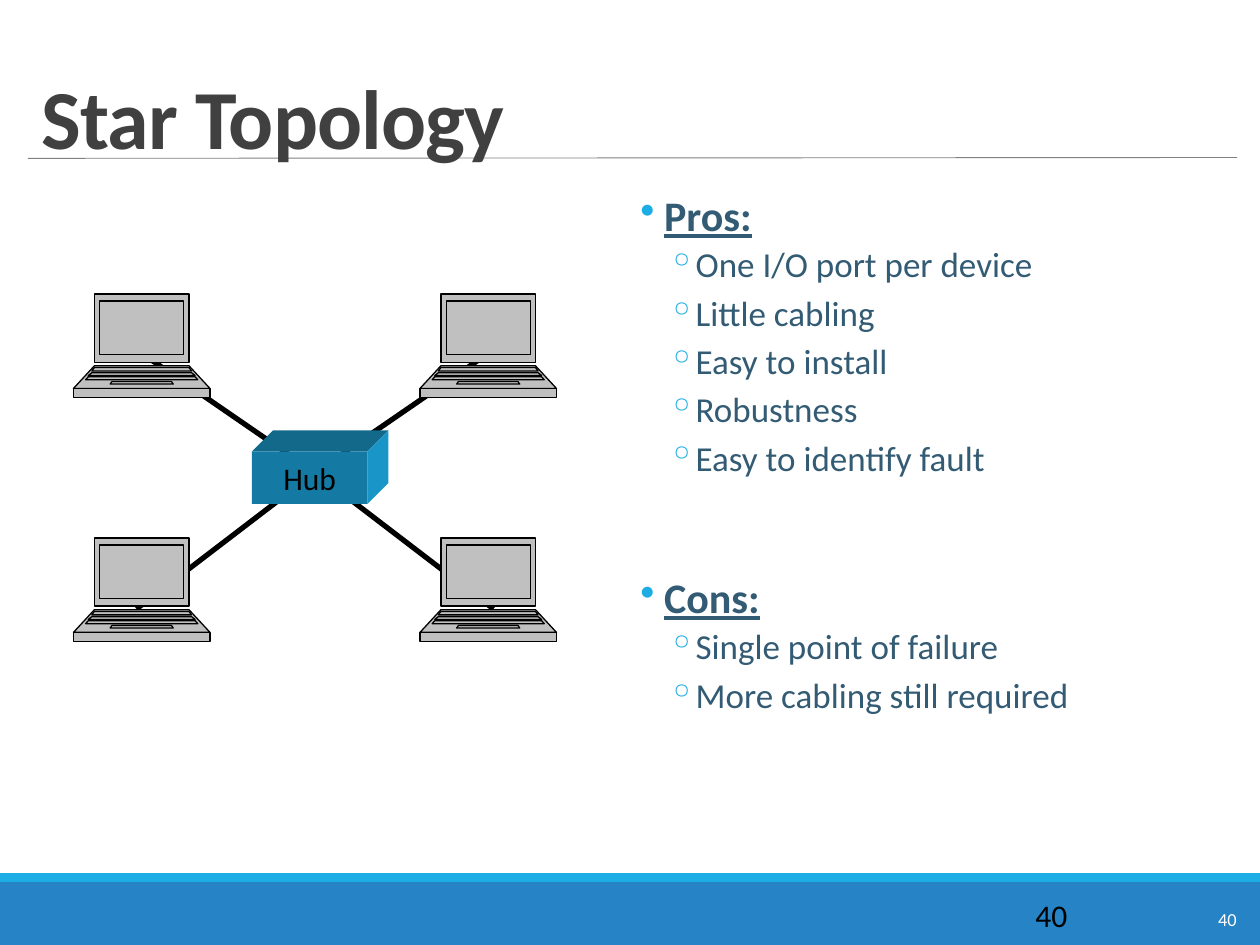
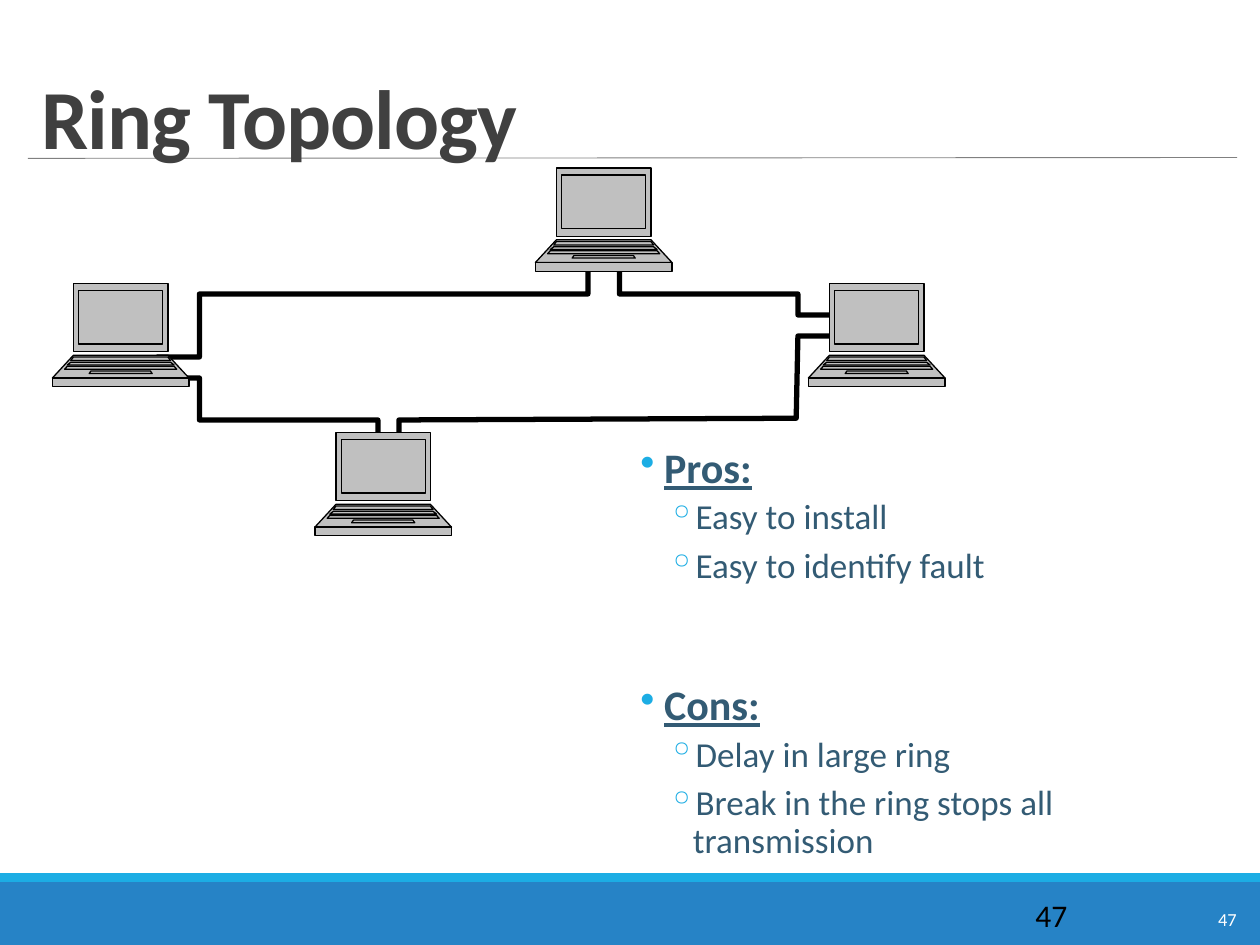
from lxml import etree
from pptx import Presentation
from pptx.dml.color import RGBColor
from pptx.enum import shapes, text
from pptx.oxml import ns
from pptx.util import Pt

COLORS = {
    "band": "2683C6", "accent": "1CADE4", "rule": "808080", "title": "404040",
    "body": "335B74", "ink": "000000", "light": "FFFFFF", "laptop": "C0C0C0",
    "hub_front": "147AA3", "hub_top": "12698A", "hub_side": "1995C8",
}
FONT = "Calibri"
SLIDE_W, SLIDE_H = 720, 540
LAPTOP_W = 78
LAPTOP_PARTS = [
    (0, 39, 12, 12), (41, 54, 12, 0), (54, 59, 0, 0), (4, 34.6, 15, 15),
    (42, 44, 12, 10.5), (50, 51.5, 22, 21), (45, 46.6, 10.5, 8.5),
    (47.3, 49, 8.5, 7),
]
BULLETS = [("•", 13.5, -13.5), ("◦", 30, -14.4)]


def rgb(name):
    return RGBColor.from_string(COLORS[name])


def paint(shape, fill=None, line=None, width=0.75):
    shape.shadow.inherit = False
    if fill:
        shape.fill.solid()
        shape.fill.fore_color.rgb = rgb(fill)
    else:
        shape.fill.background()
    if line:
        shape.line.color.rgb = rgb(line)
        shape.line.width = Pt(width)
    else:
        shape.line.fill.background()


def style(font, size, color, bold=False, underline=False):
    font.name, font.size = FONT, Pt(size)
    font.bold, font.underline = bold, underline
    font.color.rgb = rgb(color)


def add_block(slide, box, fill):
    block = slide.shapes.add_shape(shapes.MSO_SHAPE.RECTANGLE, *map(Pt, box))
    paint(block, fill)
    return block


def add_line(slide, start, end, color, width):
    line = slide.shapes.add_connector(
        shapes.MSO_CONNECTOR.STRAIGHT, *map(Pt, (*start, *end)))
    line.line.color.rgb = rgb(color)
    line.line.width = Pt(width)
    etree.SubElement(line.element.spPr, ns.qn("a:effectLst"))


def add_text_frame(slide, box):
    frame = slide.shapes.add_textbox(*map(Pt, box)).text_frame
    frame.word_wrap = True
    return frame


def add_label(slide, box, words, size, color):
    paragraph = add_text_frame(slide, box).paragraphs[0]
    paragraph.text = words
    style(paragraph.font, size, color)


def add_outline(slide, contours, close=True):
    contours = [[(Pt(x), Pt(y)) for x, y in contour] for contour in contours]
    builder = slide.shapes.build_freeform(*contours[0][0], scale=1.0)
    for index, contour in enumerate(contours):
        if index:
            builder.move_to(*contour[0])
        builder.add_line_segments(contour[1:], close=close)
    return builder.convert_to_shape()


def separate_contours(shape):
    first = shape.element.spPr.find(".//" + ns.qn("a:path"))
    outline = first
    for step in list(first)[1:]:
        if step.tag == ns.qn("a:moveTo"):
            outline = etree.SubElement(first.getparent(), first.tag, first.attrib)
        outline.append(step)


def add_laptop(slide, left, top):
    right = left + LAPTOP_W
    parts = [
        [(left + upper, top + y1), (right - upper, top + y1),
         (right - lower, top + y2), (left + lower, top + y2)]
        for y1, y2, upper, lower in LAPTOP_PARTS
    ]
    laptop = add_outline(slide, parts)
    separate_contours(laptop)
    paint(laptop, "laptop", "ink")


def add_hub(slide, left, top, width, height, depth=12):
    right, bottom = left + width, top + height
    lid = [(left, top), (left + depth, top - depth),
           (right + depth, top - depth), (right, top)]
    side = [(right, top), (right + depth, top - depth),
            (right + depth, bottom - depth), (right, bottom)]
    for face, fill in ((lid, "hub_top"), (side, "hub_side")):
        paint(add_outline(slide, [face]), fill)
    front = add_block(slide, (left, top, width, height), "hub_front")
    frame = front.text_frame
    frame.word_wrap = False
    frame.vertical_anchor = text.MSO_ANCHOR.MIDDLE
    label = frame.paragraphs[0]
    label.text = "Hub"
    label.alignment = text.PP_ALIGN.CENTER
    style(label.font, 18, "ink")


def add_star(slide, left, top):
    center = (left + 138, top + 102)
    for x, y in ((42, 36), (234, 36), (36, 180), (240, 180)):
        add_line(slide, center, (left + x, top + y), "ink", 3)
    for y in (0, 139.4):
        for x in (0, 198):
            add_laptop(slide, left + x, top + y)
    add_hub(slide, left + 102, top + 90, 66, 30)


def add_ring(slide, left, top):
    cable = [
        (186, 168), (186, 144), (84, 144), (84, 120), (60, 120), (60, 108),
        (84, 108), (84, 72), (306, 72), (306, 48), (324, 48), (324, 72),
        (426, 72), (426, 84), (450, 84), (450, 96), (426, 96), (425, 143),
        (198, 144), (198, 168),
    ]
    placed = [(left + x, top + y) for x, y in cable]
    paint(add_outline(slide, [placed], close=False), line="ink", width=3)
    for x, y in ((276, 0), (432, 66), (0, 66), (150, 151.2)):
        add_laptop(slide, left + x, top + y)


def add_bullet(paragraph, level):
    char, margin, indent = BULLETS[level]
    props = paragraph._p.get_or_add_pPr()
    props.set("marL", str(Pt(margin)))
    props.set("indent", str(Pt(indent)))
    color = etree.SubElement(props, ns.qn("a:buClr"))
    etree.SubElement(color, ns.qn("a:srgbClr"), val=COLORS["accent"])
    etree.SubElement(props, ns.qn("a:buChar"), char=char)


def add_pros_cons(slide, box, pros, cons):
    frame = add_text_frame(slide, box)
    frame.margin_left = frame.margin_right = 0
    lines = [("Pros:", 0, 0), *((item, 1, 2) for item in pros),
             ("Cons:", 0, 52.4), *((item, 1, 2) for item in cons)]
    for index, (words, level, before) in enumerate(lines):
        paragraph = frame.add_paragraph() if index else frame.paragraphs[0]
        paragraph.text = words
        paragraph.level = level
        add_bullet(paragraph, level)
        paragraph.line_spacing = 0.9
        paragraph.space_before = Pt(before)
        paragraph.space_after = Pt(4 if level else 2)
        heading = level == 0
        style(paragraph.font, 24 if heading else 20, "body", heading, heading)


def add_title(slide, box, words):
    frame = add_text_frame(slide, box)
    frame.vertical_anchor = text.MSO_ANCHOR.BOTTOM
    title = frame.paragraphs[0]
    title.text = words
    title.line_spacing = 0.85
    style(title.font, 48, "title", bold=True)
    title.font._element.set("spc", "-50")


def add_footer(slide, top, number):
    add_block(slide, (0, top + 5, SLIDE_W, SLIDE_H - top - 5), "band")
    add_block(slide, (0, top, SLIDE_W, 5), "accent")
    add_label(slide, (689, top + 16.5, 27, 20), number, 10.5, "light")
    add_label(slide, (584.6, top + 9.3, 78, 29), number, 18, "ink")


def add_topology_slide(deck, title, number):
    slide = deck.slides.add_slide(deck.slide_layouts[6])
    add_footer(slide, 499, number)
    add_line(slide, (16, 90.5), (707, 90), "rule", 0.5)
    add_title(slide, (16.6, 22.3, 691, 76.3), title)
    return slide


def main():
    deck = Presentation()
    deck.slide_width, deck.slide_height = Pt(SLIDE_W), Pt(SLIDE_H)

    star = add_topology_slide(deck, "Star Topology", "40")
    add_star(star, 42, 168)
    add_pros_cons(
        star, (366, 108, 318, 390),
        ["One I/O port per device", "Little cabling", "Easy to install",
         "Robustness", "Easy to identify fault"],
        ["Single point of failure", "More cabling still required"])

    ring = add_topology_slide(deck, "Ring Topology", "47")
    add_ring(ring, 30, 96)
    add_pros_cons(
        ring, (366, 252, 318, 264),
        ["Easy to install", "Easy to identify fault"],
        ["Delay in large ring", "Break in the ring stops all transmission"])

    deck.save("out.pptx")


if __name__ == "__main__":
    main()
